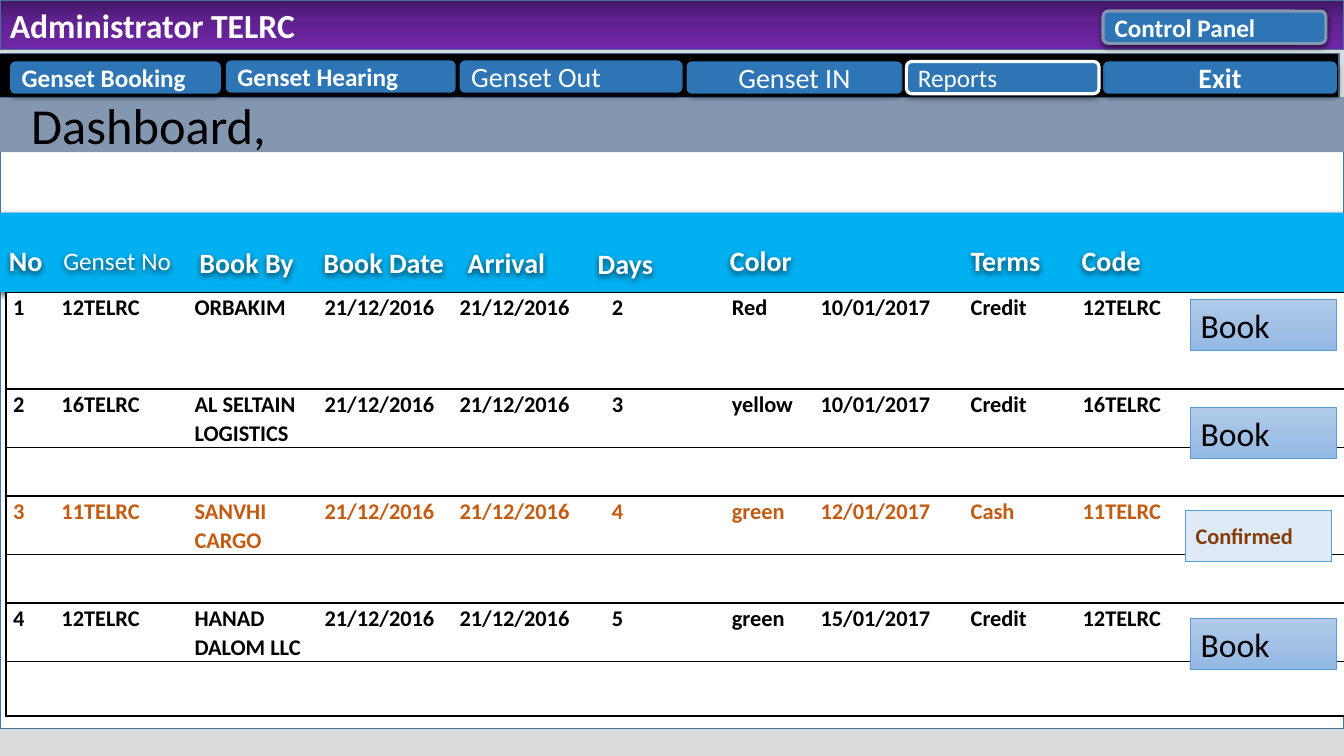
from lxml.etree import SubElement
from pptx import Presentation
from pptx.dml.color import RGBColor
from pptx.enum.shapes import MSO_SHAPE as Shape
from pptx.enum.text import MSO_ANCHOR as Anchor, MSO_AUTO_SIZE as AutoSize, PP_ALIGN as Align
from pptx.oxml.ns import qn
from pptx.util import Inches, Pt

WHITE, BLACK, BLUE, SLATE, ORANGE = "FFFFFF", "000000", "2E75B6", "8497B0", "C55A11"
OUTLINE = ("43739E", 1)
HEADING = dict(size=20, bold=True, color=WHITE)

# Text and left, top, width, format of each menu button
MENU = [
    ("Genset Booking", 0.1, 0.61, 2.09, dict(size=18, bold=True, align=Align.JUSTIFY)),
    ("Genset Hearing", 2.24, 0.6, 2.28, dict(size=18, bold=True, align=Align.JUSTIFY)),
    ("Genset Out", 4.56, 0.6, 2.21, dict(size=20)),
    ("Genset IN", 6.81, 0.61, 2.14, dict(size=20, align=Align.CENTER)),
    ("Exit", 10.94, 0.61, 2.32, dict(size=20, bold=True, align=Align.CENTER)),
    ("Reports", 8.99, 0.61, 1.91, dict(size=18, line=(WHITE, 2.25))),
]

# Text, left, drop below the first heading, width
HEADINGS = [
    ("No", -0.01, 0, 0.59), ("Book By", 1.88, 0.02, 1.4), ("Genset No", 0.53, 0, 1.54),
    ("Book Date", 3.11, 0.02, 1.74), ("Color", 7.14, 0, 1.13), ("Terms", 9.53, 0, 1.13),
    ("Arrival", 4.54, 0.02, 1.65), ("Days", 5.83, 0.03, 1.65), ("Code", 10.63, 0, 1.13),
]

# Code, customer, days, colour, last date, terms
BOOKED = "21/12/2016"
BOOKINGS = [
    ("12TELRC", "ORBAKIM", "2", "Red", "10/01/2017", "Credit"),
    ("16TELRC", "AL SELTAIN LOGISTICS", "3", "yellow", "10/01/2017", "Credit"),
    ("11TELRC", "SANVHI CARGO", "4", "green", "12/01/2017", "Cash"),
    ("12TELRC", "HANAD DALOM LLC", "5", "green", "15/01/2017", "Credit"),
]
CONFIRMED = 3
COLUMNS = [0.48, 1.32, 1.29, 1.34, 1.51, 1.19, 0.88, 1.49, 1.11, 2.68]
ROWS = [0.48, 0.48, 0.54, 0.48, 0.54, 0.48, 0.54, 0.54]
RULED = {0, 2, 3, 4, 5, 6, 8}
BUTTON_TOPS = [2.97, 4.04, 5.06, 6.13]


def rgb(value):
    return RGBColor.from_string(value)


def write(frame, text, size, color=WHITE, bold=False, align=Align.LEFT):
    para = frame.paragraphs[0]
    para.alignment = align
    span = para.add_run()
    span.text = text
    for name, value in dict(name="Calibri", size=Pt(size), bold=bold).items():
        setattr(span.font, name, value)
    span.font.color.rgb = rgb(color)
    return para


def add_gradient(box, stops):
    box.fill.gradient()
    box.fill.gradient_angle = 270
    stop_list = box.element.spPr.find(".//" + qn("a:gsLst"))
    stop_list.clear()
    for position, color in stops:
        stop = SubElement(stop_list, qn("a:gs"), pos=str(position * 1000))
        SubElement(stop, qn("a:srgbClr"), val=color)


def add_shadow(box):
    effects = box.element.spPr.find(qn("a:effectLst"))
    shadow = SubElement(effects, qn("a:outerShdw"), blurRad=str(Pt(4.5)),
                        dist=str(Pt(1.5)), dir="5400000", rotWithShape="0")
    color = SubElement(shadow, qn("a:srgbClr"), val=BLACK)
    SubElement(color, qn("a:alpha"), val="63000")


def add_box(page, place, fill=None, line=None, shadow=False, kind=Shape.RECTANGLE,
            corner=None, text=None, **style):
    box = page.shapes.add_shape(kind, *map(Inches, place))
    box.shadow.inherit = False
    if corner is not None:
        box.adjustments[0] = corner
    if isinstance(fill, list):
        add_gradient(box, fill)
    elif fill:
        box.fill.solid()
        box.fill.fore_color.rgb = rgb(fill)
    else:
        box.fill.background()
    if line:
        box.line.color.rgb = rgb(line[0])
        box.line.width = Pt(line[1])
    else:
        box.line.fill.background()
    if shadow:
        add_shadow(box)
    if text:
        box.text_frame.word_wrap = True
        box.text_frame.vertical_anchor = Anchor.MIDDLE
        write(box.text_frame, text, **style)
    return box


def format_cell(cell, row, column):
    sides = {"L": column == 0, "R": column == len(COLUMNS) - 1,
             "T": row in RULED, "B": row + 1 in RULED}
    properties = cell._tc.get_or_add_tcPr()
    for side, drawn in sides.items():
        if drawn:
            border = SubElement(properties, qn("a:ln" + side), w=str(Pt(1)))
            SubElement(SubElement(border, qn("a:solidFill")), qn("a:srgbClr"), val=BLACK)
    cell.fill.solid()
    cell.fill.fore_color.rgb = rgb(WHITE)
    margins = dict(margin_left=0.07, margin_right=0.07, margin_top=0, margin_bottom=0)
    for name, value in margins.items():
        setattr(cell, name, Inches(value))


def add_bookings(page, left, top):
    place = map(Inches, (left, top, sum(COLUMNS), sum(ROWS)))
    frame = page.shapes.add_table(len(ROWS), len(COLUMNS), *place)
    table = frame.table
    table.first_row = table.horz_banding = False
    style = table._tbl.tblPr.find(qn("a:tableStyleId"))
    style.text = "{2D5ABB26-0587-4C30-8999-92F81FD0307C}"
    for column, width in zip(table.columns, COLUMNS):
        column.width = Inches(width)
    for index, height in enumerate(ROWS):
        table.rows[index].height = Inches(height)
        for column in range(len(COLUMNS)):
            format_cell(table.cell(index, column), index, column)
    # Each booking takes a text row and an empty row
    for number, (code, customer, days, shade, until, terms) in enumerate(BOOKINGS, 1):
        values = [str(number), code, customer, BOOKED, BOOKED, days, shade, until, terms, code]
        color = ORANGE if number == CONFIRMED else BLACK
        for column, value in enumerate(values):
            cell = table.cell(2 * number - 2, column)
            write(cell.text_frame, value, 16, color, bold=True).line_spacing = 1.07


def add_headings(page, top):
    add_box(page, (0, top, 13.33, 0.79), "00B0F0", shadow=True)
    for text, left, drop, width in HEADINGS:
        style = dict(size=18, color=WHITE) if text == "Genset No" else HEADING
        add_box(page, (left, top + 0.22 + drop, width, 0.51), shadow=True,
                kind=Shape.ROUNDED_RECTANGLE, corner=0, text=text, **style)


def add_row_buttons(page, left):
    shades = [(0, "B1CBE9"), (50, "A3C1E5"), (100, "93B9E4")]
    book = dict(fill=shades, text="Book", size=24, color=BLACK)
    confirmed = dict(fill="DEEBF7", text="Confirmed", size=16, color="843C0B", bold=True)
    for number, top in enumerate(BUTTON_TOPS, 1):
        done = number == CONFIRMED
        add_box(page, (left - 0.05 * done, top, 1.44, 0.51), line=("5B9BD5", 0.5),
                kind=Shape.ROUNDED_RECTANGLE, corner=0, **(confirmed if done else book))


def add_title(page, left, top, width, height):
    title = page.shapes.title
    title.element.getparent().append(title.element)
    place = dict(left=left, top=top, width=width, height=height)
    for name, value in place.items():
        setattr(title, name, Inches(value))
    title.fill.solid()
    title.fill.fore_color.rgb = rgb(SLATE)
    frame = title.text_frame
    settings = dict(word_wrap=True, auto_size=AutoSize.NONE,
                    vertical_anchor=Anchor.MIDDLE, margin_left=Inches(0.33))
    for name, value in settings.items():
        setattr(frame, name, value)
    write(frame, "Dashboard,", 36, BLACK)


def add_menu(page, left, top):
    add_box(page, (left, top, 13.29, 0.44), BLACK, OUTLINE)
    for text, button_left, button_top, width, style in MENU:
        add_box(page, (button_left, button_top, width, 0.32), BLUE, shadow=True,
                kind=Shape.ROUNDED_RECTANGLE, text=text, **style)


def add_banner(page, left, top):
    shades = [(0, "431764"), (41, "5F218E"), (100, "7128A8")]
    add_box(page, (left, top, 13.33, 0.49), shades, OUTLINE,
            text="Administrator TELRC", size=24, bold=True)
    add_box(page, (left + 10.94, top + 0.11, 2.21, 0.32), BLUE, (SLATE, 2.25), shadow=True,
            kind=Shape.ROUNDED_RECTANGLE, text="Control Panel", size=18, bold=True)


def main():
    deck = Presentation()
    deck.slide_width, deck.slide_height = Inches(13.33), Inches(7.5)
    page = deck.slides.add_slide(deck.slide_layouts[5])
    page.background.fill.solid()
    page.background.fill.fore_color.rgb = rgb("DBDBDB")
    # Panel, headings and bookings
    add_box(page, (0, 1.41, 13.33, 5.82), WHITE, OUTLINE)
    add_headings(page, 2.11)
    add_bookings(page, 0.06, 2.9)
    add_row_buttons(page, 11.81)
    # Title, menu and banner
    add_title(page, -0.02, 0.96, 13.35, 0.55)
    add_menu(page, -0.01, 0.53)
    add_banner(page, 0, 0)
    deck.save("out.pptx")


if __name__ == "__main__":
    main()
